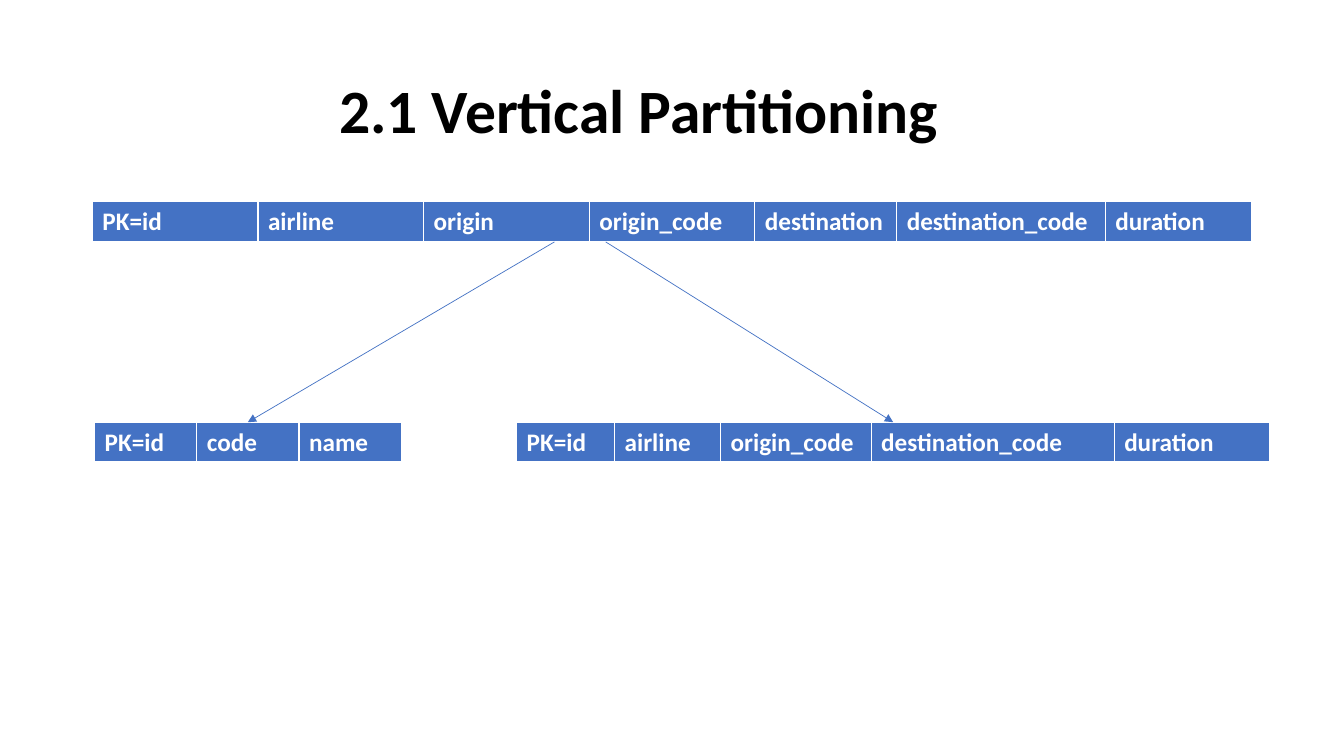
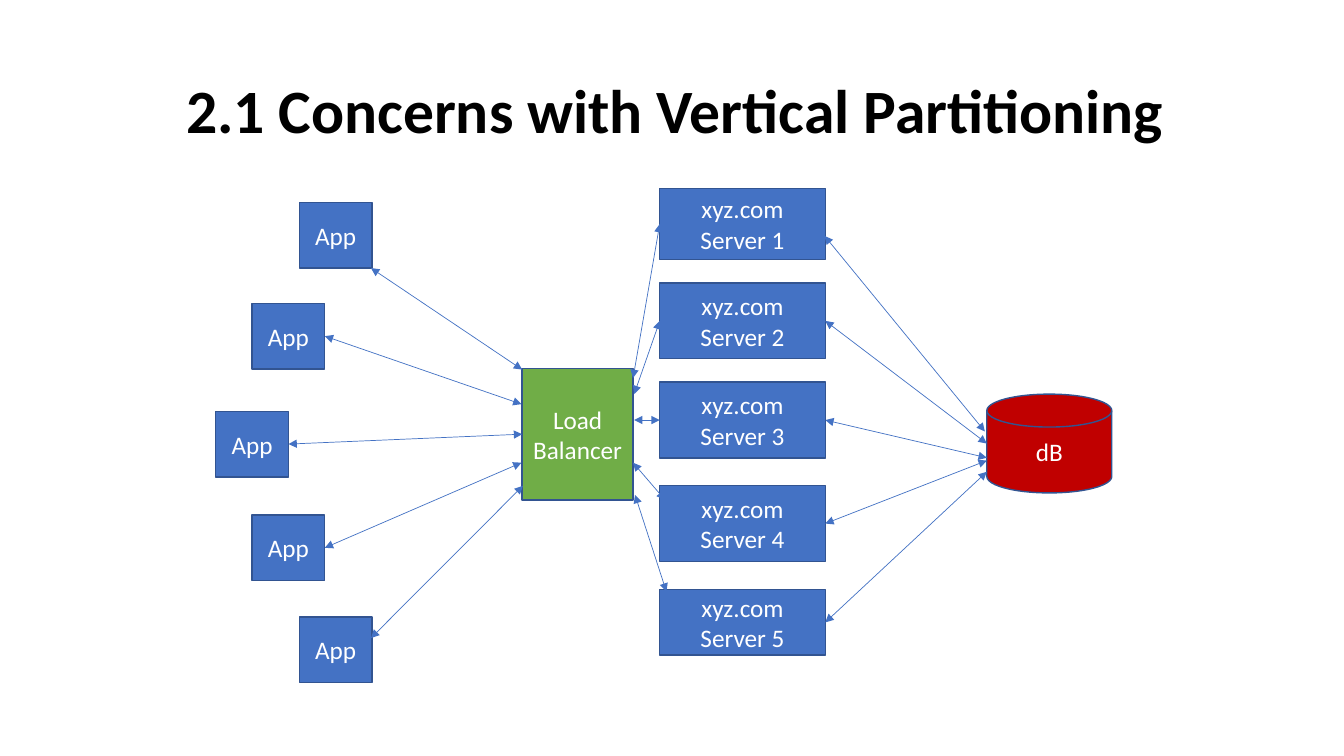
from dataclasses import dataclass
from typing import NamedTuple, Union

import lxml.etree
import pptx
import pptx.dml.color
import pptx.enum.shapes
import pptx.enum.text
import pptx.oxml.ns
import pptx.util

Pt = pptx.util.Pt
qn = pptx.oxml.ns.qn
Preset = pptx.enum.shapes.MSO_SHAPE

FONT = "Calibri"
WHITE, BLACK = "FFFFFF", "000000"
BLUE, OUTLINE, GREEN, RED = "4472C4", "325491", "70AD47", "C00000"
LEFT, RIGHT = 1, 3  # connection sites of a rectangle
ROW_HEIGHT = 29.2
BORDERS = {"lnL": 1, "lnR": 1, "lnT": 1, "lnB": 3}


@dataclass
class Header:
    """A one-row table that lists the columns of a relation."""
    left: float
    top: float
    columns: list[tuple[str, float]]


@dataclass
class Node:
    text: str
    left: float
    top: float
    width: float
    height: float
    fill: str = BLUE
    preset: Preset = Preset.RECTANGLE


class Point(NamedTuple):
    x: float
    y: float


class Joint(NamedTuple):
    shape: pptx.shapes.autoshape.Shape
    site: int


End = Union[Point, Joint]


def color(hex_code: str) -> pptx.dml.color.RGBColor:
    return pptx.dml.color.RGBColor.from_string(hex_code)


def format_runs(frame, size: float, hex_code: str, bold: bool = False) -> None:
    for paragraph in frame.paragraphs:
        for run in paragraph.runs:
            run.font.name = FONT
            run.font.size = Pt(size)
            run.font.bold = bold
            run.font.color.rgb = color(hex_code)


def add_titled_slide(deck, heading: str, indent: float):
    slide = deck.slides.add_slide(deck.slide_layouts[5])
    title = slide.shapes.title
    title.left, title.top, title.width, title.height = (
        Pt(66), Pt(28.8), Pt(828), Pt(104.4))
    frame = title.text_frame
    frame.text = heading
    frame.vertical_anchor = pptx.enum.text.MSO_ANCHOR.MIDDLE
    paragraph = frame.paragraphs[0]
    paragraph.alignment = pptx.enum.text.PP_ALIGN.LEFT
    paragraph.line_spacing = 0.9
    properties = paragraph._p.get_or_add_pPr()
    properties.set("marL", str(Pt(indent)))
    properties.set("indent", "0")
    format_runs(frame, 44, BLACK, bold=True)
    return slide


def add_borders(cell) -> None:
    properties = cell._tc.get_or_add_tcPr()
    for side, width in BORDERS.items():
        border = lxml.etree.SubElement(
            properties, qn(f"a:{side}"), w=str(Pt(width)))
        solid = lxml.etree.SubElement(border, qn("a:solidFill"))
        lxml.etree.SubElement(solid, qn("a:srgbClr"), val=WHITE)


def draw_header(slide, header: Header) -> None:
    total = sum(width for _, width in header.columns)
    table = slide.shapes.add_table(
        1, len(header.columns), Pt(header.left), Pt(header.top),
        Pt(total), Pt(ROW_HEIGHT)).table
    table.horz_banding = False
    for index, (name, width) in enumerate(header.columns):
        table.columns[index].width = Pt(width)
        cell = table.cell(0, index)
        add_borders(cell)
        cell.fill.solid()
        cell.fill.fore_color.rgb = color(BLUE)
        cell.text_frame.text = name
        format_runs(cell.text_frame, 18, WHITE, bold=True)


def draw_node(slide, node: Node):
    shape = slide.shapes.add_shape(
        node.preset, Pt(node.left), Pt(node.top),
        Pt(node.width), Pt(node.height))
    shape.shadow.inherit = False
    shape.fill.solid()
    shape.fill.fore_color.rgb = color(node.fill)
    shape.line.color.rgb = color(OUTLINE)
    shape.line.width = Pt(1)
    frame = shape.text_frame
    frame.text = node.text
    frame.word_wrap = True
    frame.vertical_anchor = pptx.enum.text.MSO_ANCHOR.MIDDLE
    for paragraph in frame.paragraphs:
        paragraph.alignment = pptx.enum.text.PP_ALIGN.CENTER
    format_runs(frame, 18, WHITE)
    return shape


def draw_arrow(slide, start: End, end: End, two_way: bool = True) -> None:
    corners = [Pt(value) for place in (start, end)
               for value in (place if isinstance(place, Point) else (0, 0))]
    arrow = slide.shapes.add_connector(
        pptx.enum.shapes.MSO_CONNECTOR.STRAIGHT, *corners)
    if isinstance(start, Joint):
        arrow.begin_connect(start.shape, start.site)
    if isinstance(end, Joint):
        arrow.end_connect(end.shape, end.site)
    arrow.line.color.rgb = color(BLUE)
    arrow.line.width = Pt(0.5)
    properties = arrow._element.spPr
    line = properties.find(qn("a:ln"))
    for tip in ("headEnd", "tailEnd") if two_way else ("tailEnd",):
        lxml.etree.SubElement(line, qn(f"a:{tip}"), type="triangle")
    lxml.etree.SubElement(properties, qn("a:effectLst"))


def build_partitioning(deck) -> None:
    slide = add_titled_slide(deck, "2.1 Vertical Partitioning", 169)
    # Full relation above, its two partitions below
    headers = [
        Header(66, 144, [
            ("PK=id", 118.3), ("airline", 118.3), ("origin", 118.3),
            ("origin_code", 118.3), ("destination", 101.4),
            ("destination_code", 149), ("duration", 104.4)]),
        Header(67.6, 301.6, [("PK=id", 73), ("code", 73), ("name", 73)]),
        Header(369, 301.6, [
            ("PK=id", 70), ("airline", 75.7), ("origin_code", 107.6),
            ("destination_code", 173.6), ("duration", 110.7)]),
    ]
    for header in headers:
        draw_header(slide, header)
    # Split arrows
    draw_arrow(slide, Point(396, 172.8), Point(177, 301.6), two_way=False)
    draw_arrow(slide, Point(432.7, 172.8), Point(638, 301.6), two_way=False)


def build_concerns(deck) -> None:
    slide = add_titled_slide(
        deck, "2.1 Concerns with Vertical Partitioning", 59.7)
    # Clients, servers, balancer and database
    client_places = [(213.8, 144.7), (180, 216.7), (154.1, 293.8),
                     (180, 367.9), (213.8, 440.6)]
    clients = [draw_node(slide, Node("App", left, top, 52, 46.8))
               for left, top in client_places]
    server_spans = [(134.6, 50.7), (202.2, 54), (272.9, 54.3),
                    (347, 54), (421.2, 46.8)]
    servers = [
        draw_node(slide, Node(f"xyz.com\nServer {number}",
                              471.3, top, 118.2, height))
        for number, (top, height) in enumerate(server_spans, 1)]
    balancer = draw_node(
        slide, Node("Load Balancer", 373, 263, 79.2, 94.3, GREEN))
    draw_node(slide, Node("dB", 704.9, 281.5, 89.3, 70.6, RED,
                          Preset.FLOWCHART_MAGNETIC_DISK))

    # Clients to balancer, balancer to servers, servers to database
    links = [
        (Point(265, 191.5), Point(373, 264)),
        (Joint(clients[1], RIGHT), Point(372.5, 288.7)),
        (Joint(clients[2], RIGHT), Joint(balancer, LEFT)),
        (Joint(clients[3], RIGHT), Point(372.5, 330.5)),
        (Point(265, 455.8), Point(373.5, 347)),
        (Point(452.2, 270), Joint(servers[0], LEFT)),
        (Point(453, 281.5), Joint(servers[1], LEFT)),
        (Point(453, 300), Joint(servers[2], LEFT)),
        (Point(452.2, 330.5), Point(475, 357)),
        (Point(453.6, 353.5), Point(476, 422.6)),
        (Point(589, 168.5), Point(703.5, 308.2)),
        (Joint(servers[1], RIGHT), Point(704.9, 316.8)),
        (Joint(servers[2], RIGHT), Point(704.9, 327)),
        (Joint(servers[3], RIGHT), Point(704.9, 329)),
        (Joint(servers[4], RIGHT), Point(704.9, 337)),
    ]
    for start, end in links:
        draw_arrow(slide, start, end)


def main() -> None:
    deck = pptx.Presentation()
    deck.slide_width, deck.slide_height = Pt(960), Pt(540)
    build_partitioning(deck)
    build_concerns(deck)
    deck.save("out.pptx")


if __name__ == "__main__":
    main()
